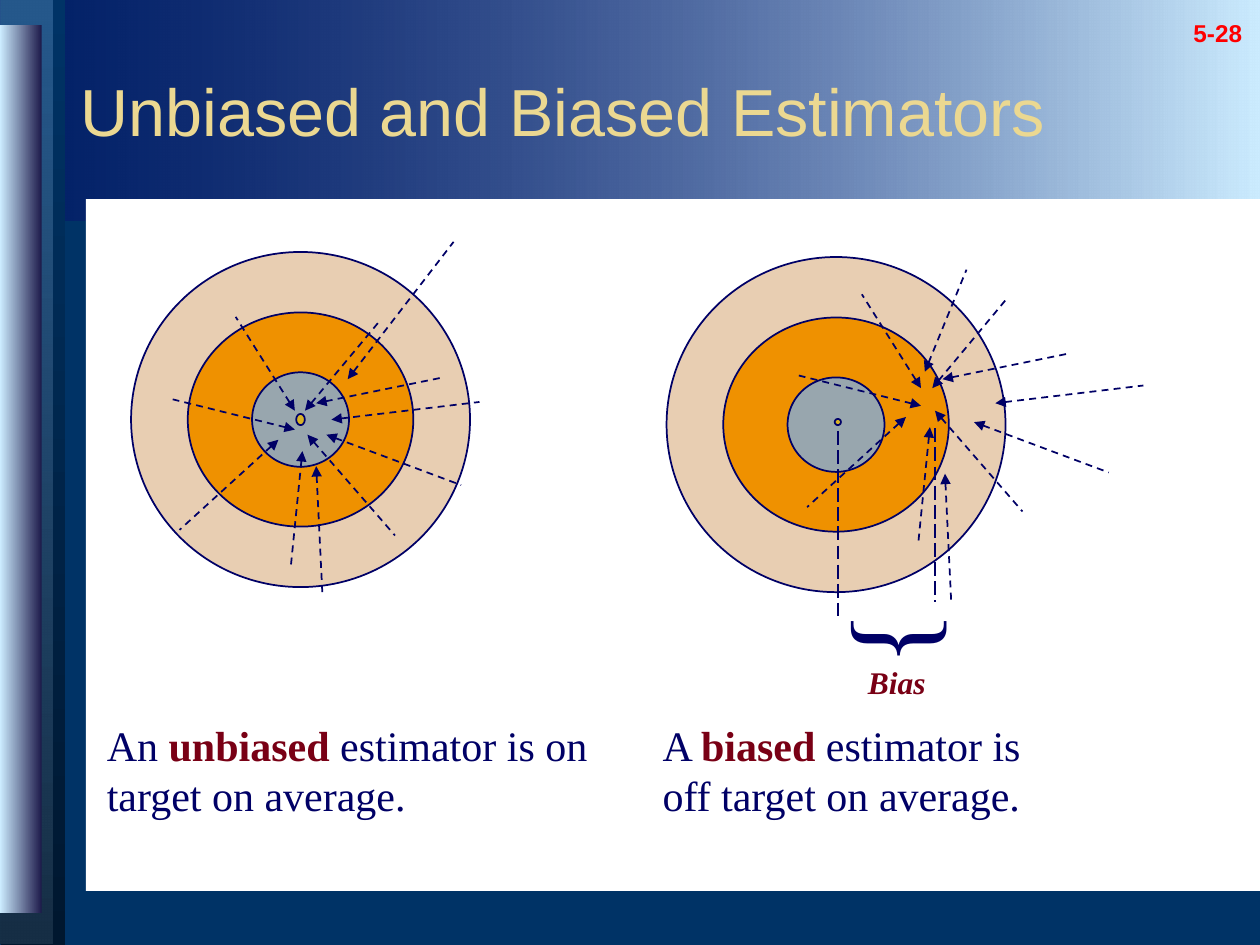
from dataclasses import dataclass

from lxml.etree import SubElement
from pptx import Presentation
from pptx.dml.color import RGBColor
from pptx.enum.dml import MSO_LINE
from pptx.enum.shapes import MSO_CONNECTOR, MSO_SHAPE
from pptx.enum.text import MSO_ANCHOR, PP_ALIGN
from pptx.oxml.ns import qn
from pptx.util import Pt


@dataclass(frozen=True)
class Theme:
    base: str = "003366"
    ink: str = "000066"
    sky: str = "CCECFF"
    deep: str = "00172F"
    steel: str = "336699"
    slate: str = "172F46"
    night: str = "1E1B4B"
    paper: str = "FFFFFF"
    title: str = "EBD891"
    number: str = "FF0000"
    accent: str = "790015"
    rings: tuple = ("E8CEB2", "EF9100", "98A6AE")
    bullseye: str = "D8B228"
    sans: str = "Arial"
    serif: str = "Times New Roman"
    title_size: int = 38
    body_size: int = 24
    label_size: int = 18
    brace_size: int = 66


T = Theme()
RING_SIZES = ((193.7, 191.5), (128.9, 122.4), (55.4, 54))

# Each shot's flight, from where it hits back to its tail
FLIGHTS = [(77, 28.8), (70.8, -14.4), (-69.8, -17.3), (-6.8, 67.7),
           (84.6, -10.1), (50, 57.6), (-56.5, 51.5), (42.5, -51.1),
           (-33.8, -53.6), (60.5, -78.5), (3.6, 74.2)]
BIASED_FLIGHTS = FLIGHTS[:9] + [(23.8, -58.3)] + FLIGHTS[10:]

# Hits, measured from the corner of the outer ring
UNBIASED_HITS = [(111.6, 104.4), (105.8, 86.4), (93.6, 101.5), (97.9, 113.8),
                 (114.5, 95.8), (100.8, 104.4), (84.2, 107.3), (99.4, 90.7),
                 (93.6, 90.7), (123.8, 72.7), (105.8, 122.4)]
BIASED_HITS = [(175.7, 94.3), (157.7, 69.8), (145.4, 85), (150.5, 97.2),
               (187.9, 83.5), (153.4, 87.8), (136.8, 91.4), (151.9, 74.9),
               (145.4, 74.9), (147.6, 65.5), (159.1, 123.8)]


def rgb(color):
    return RGBColor.from_string(color)


def add_shape(s, kind, box, fill=None, line=None):
    sp = s.shapes.add_shape(kind, *map(Pt, box))
    sp.shadow.inherit = False
    if fill:
        sp.fill.solid()
        sp.fill.fore_color.rgb = rgb(fill)
    if line:
        sp.line.color.rgb = rgb(line)
        sp.line.width = Pt(1)
    else:
        sp.line.fill.background()
    return sp


def add_gradient(s, box, colors, angle, alphas=(100, 100)):
    sp = add_shape(s, MSO_SHAPE.RECTANGLE, box)
    sp.fill.gradient()
    sp.fill.gradient_angle = angle
    for stop, color in zip(sp.fill.gradient_stops, colors):
        stop.color.rgb = rgb(color)
    for clr, alpha in zip(list(sp.element.spPr.iter(qn("a:srgbClr"))), alphas):
        if alpha < 100:
            SubElement(clr, qn("a:alpha"), val=str(alpha * 1000))


def add_line(s, start, end, dash, arrow=False):
    c = s.shapes.add_connector(MSO_CONNECTOR.STRAIGHT, *map(Pt, (*start, *end)))
    c.line.color.rgb = rgb(T.ink)
    c.line.width = Pt(1)
    c.line.dash_style = dash
    if arrow:
        SubElement(c.line._get_or_add_ln(), qn("a:headEnd"), type="triangle")
    SubElement(c.element.spPr, qn("a:effectLst"))


def add_text(s, box, runs, size, font, wrap=True):
    """Each run is (text, colour, bold)."""
    sp = s.shapes.add_textbox(*map(Pt, box))
    tf = sp.text_frame
    tf.word_wrap = wrap
    p = tf.paragraphs[0]
    for text, color, bold in runs:
        r = p.add_run()
        r.text = text
        r.font.size = Pt(size)
        r.font.name = font
        r.font.bold = bold
        r.font.color.rgb = rgb(color)
    return sp


def add_frame(s, width, height):
    s.background.fill.solid()
    s.background.fill.fore_color.rgb = rgb(T.base)
    # Header band and left-hand bars
    add_gradient(s, (0, 0, width, 126), (T.sky, T.ink), 180, (100, 38))
    add_gradient(s, (0.7, 0, 36.7, height), (T.base, T.deep), 270)
    add_gradient(s, (-1.4, -0.7, 31.7, height), (T.steel, T.slate), 270, (73, 100))
    add_gradient(s, (0, 14.4, 23.8, 507.6), (T.night, T.sky), 180)
    # Content panel
    add_shape(s, MSO_SHAPE.RECTANGLE, (49, 113.8, width - 49, 395.3), T.paper)


def add_heading(s, box):
    sp = add_text(s, box, [("Unbiased and Biased Estimators", T.title, False)],
                  T.title_size, T.sans)
    sp.text_frame.vertical_anchor = MSO_ANCHOR.MIDDLE


def add_page_number(s, box):
    sp = add_text(s, box, [("5-28", T.number, True)], T.body_size, T.sans)
    p = sp.text_frame.paragraphs[0]
    p.alignment = PP_ALIGN.CENTER
    p.space_before = Pt(15)
    p.runs[0].font._element.set("baseline", "-25000")


def add_target(s, left, top, hits, flights, eye_size, eye_shift=(0, 0)):
    cx, cy = (n / 2 for n in RING_SIZES[0])

    def add_disc(w, h, fill, dx=0, dy=0):
        box = (left + cx + dx - w / 2, top + cy + dy - h / 2, w, h)
        add_shape(s, MSO_SHAPE.OVAL, box, fill, T.ink)

    for (w, h), fill in zip(RING_SIZES, T.rings):
        add_disc(w, h, fill)
    add_disc(*eye_size, T.bullseye, *eye_shift)
    for (x, y), (dx, dy) in zip(hits, flights):
        hit = (left + x, top + y)
        add_line(s, hit, (hit[0] + dx, hit[1] + dy), MSO_LINE.DASH, arrow=True)


def add_bias_mark(s, left, top):
    # Lines down from the bullseye and from the average hit
    for x, y1, y2 in ((98, 99.4, 205.2), (153.4, 97.9, 197.3)):
        add_line(s, (left + x, top + y1), (left + x, top + y2), MSO_LINE.LONG_DASH)
    # Brace and its label
    brace = add_text(s, (left + 101.5, top + 174.2, 47.5, 86.4),
                     [("{", T.ink, False)], T.brace_size, T.serif)
    brace.rotation = 270
    label = add_text(s, (left + 108, top + 228.2, 47.5, 28.8),
                     [("Bias", T.accent, True)], T.label_size, T.serif, wrap=False)
    label.text_frame.paragraphs[0].runs[0].font.italic = True


def add_caption(s, box, before, term, after):
    add_text(s, box, [(before, T.ink, False), (term, T.accent, True),
                      (after, T.ink, False)], T.body_size, T.serif)


def main():
    prs = Presentation()
    prs.slide_width, prs.slide_height = Pt(720), Pt(540)
    s = prs.slides.add_slide(prs.slide_layouts[6])
    add_frame(s, 720, 540)
    add_page_number(s, (668.9, -9.4, 54, 40.3))
    add_heading(s, (38.9, 18, 667.4, 90))

    # Unbiased estimator
    add_target(s, 74.9, 144, UNBIASED_HITS, FLIGHTS, (5, 6.5))
    add_caption(s, (54, 407.5, 299.5, 64.8),
                "An ", "unbiased", " estimator is on target on average.")

    # Biased estimator
    add_target(s, 380.9, 146.9, BIASED_HITS, BIASED_FLIGHTS, (3.6, 3.6), (1, -1.5))
    add_bias_mark(s, 380.9, 146.9)
    add_caption(s, (371.5, 407.5, 245.5, 64.8),
                "A ", "biased ", "estimator is off target on average.")
    prs.save("out.pptx")


if __name__ == "__main__":
    main()
